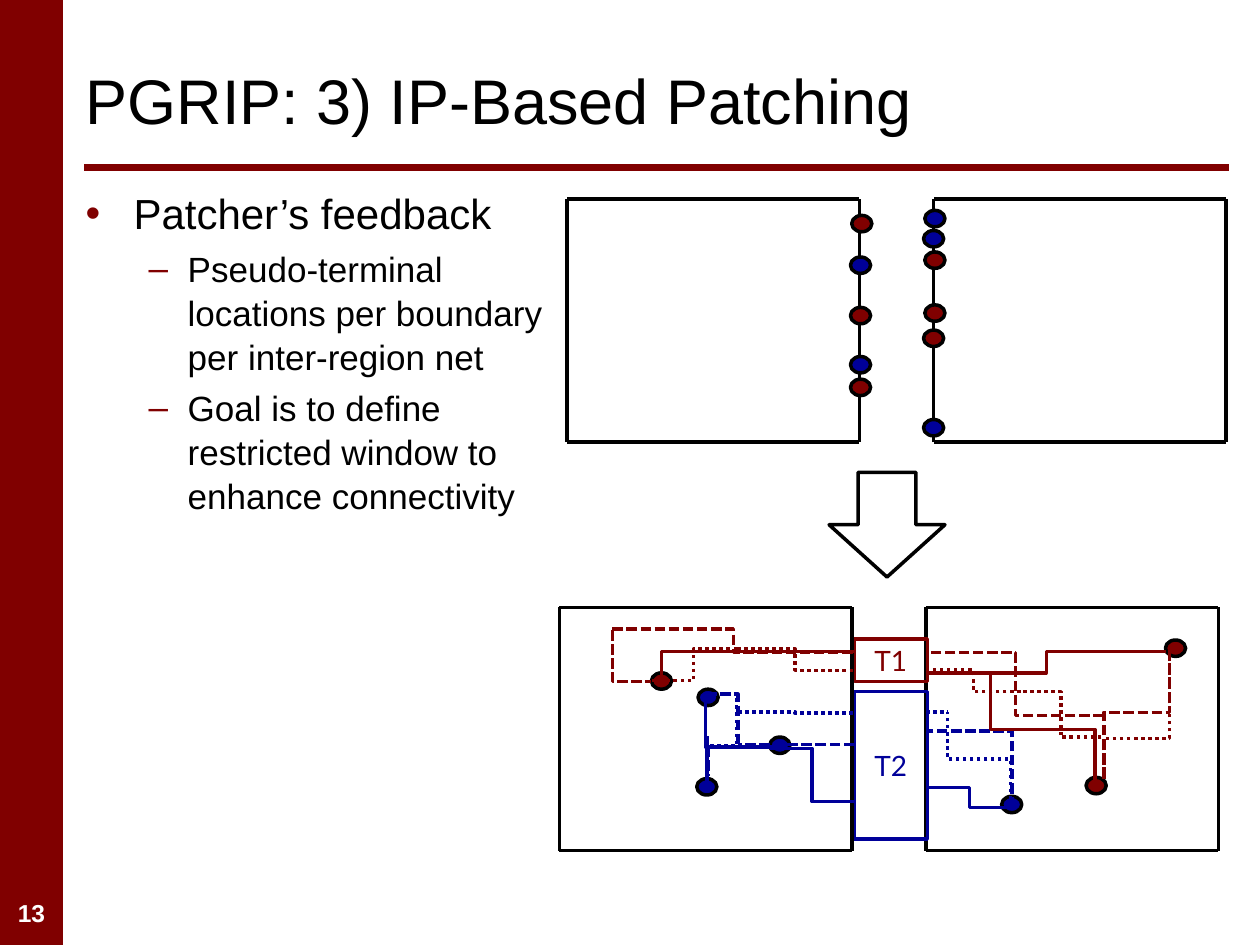
from lxml import etree
from pptx import Presentation
from pptx import util as u
from pptx.dml.color import RGBColor
from pptx.enum import dml, shapes, text
from pptx.oxml.ns import qn

RED, BLUE, BLACK, WHITE = "800000", "000099", "000000", "FFFFFF"
DASH, DOT, SOLID = dml.MSO_LINE.SQUARE_DOT, dml.MSO_LINE.ROUND_DOT, None
FEEDBACK = [
    (0, "Patcher’s feedback"),
    (1, "Pseudo-terminal locations per boundary per inter-region net"),
    (1, "Goal is to define restricted window to enhance connectivity"),
]
LOWER_PINS = {
    RED: [(5.17, 5.34), (8.62, 6.17), (9.25, 5.08)],
    BLUE: [(6.11, 5.85), (5.54, 5.47), (5.53, 6.18), (7.95, 6.32)],
}
UPPER_PINS = {
    RED: [(6.76, 1.71), (6.75, 2.44), (6.75, 3.01), (7.34, 2), (7.34, 2.42), (7.33, 2.62)],
    BLUE: [(6.75, 2.83), (6.75, 2.04), (7.33, 3.33), (7.34, 1.67), (7.33, 1.83)],
}
# Each route: start, end, first direction, bend positions.
ROUTES = {
    (RED, DASH): [
        ((8.76, 6.17), (9.28, 5.14), "v", [0.5]),
        ((8.76, 5.68), (7.36, 5.18), "h", [0.5]),
        ((4.86, 4.99), (6.78, 5.18), "h", [0.5]),
        ((4.86, 5), (5.17, 5.41), "v", []),
    ],
    (BLUE, DASH): [
        ((5.61, 5.51), (5.62, 6.16), "h", [25, 0.64]),
        ((6.78, 5.91), (5.86, 5.91), "h", [0.5]),
        ((8.03, 6.41), (7.36, 5.66), "v", [0.81]),
    ],
    (RED, SOLID): [
        ((5.25, 5.43), (6.78, 5.17), "v", []),
        ((7.36, 5.34), (9.25, 5.17), "h", [0.5]),
        ((7.86, 5.33), (8.69, 6.25), "v", [0.5]),
    ],
    (BLUE, SOLID): [
        ((6.78, 6.36), (6.11, 5.94), "h", [0.5]),
        ((6.19, 5.93), (5.6, 5.58), "h", []),
        ((5.61, 6.22), (5.61, 5.84), "v", [0.5]),
        ((8.03, 6.41), (7.36, 6.25), "h", [0.5]),
    ],
    (RED, DOT): [
        ((8.1, 5.49), (7.35, 5.32), "h", [0.5]),
        ((8.76, 6.18), (9.28, 5.15), "v", [0.31]),
        ((5.85, 5.15), (6.77, 5.32), "h", [0.5]),
        ((5.85, 5.15), (5.16, 5.4), "h", [0.5]),
        ((8.74, 5.85), (8.1, 5.49), "h", [0.5]),
    ],
    (BLUE, DOT): [
        ((5.6, 5.51), (5.61, 6.15), "h", [25, 0.64]),
        ((6.77, 5.66), (5.85, 5.65), "h", [0.5]),
        ((8.02, 6.4), (7.52, 5.65), "v", [0.5]),
        ((7.35, 5.65), (7.52, 5.65), "h", [0.5]),
    ],
}


def rgb(value):
    """Turn a hex string into a colour."""
    return RGBColor.from_string(value)


def style_runs(p, size, color, name="Arial", bold=False):
    """Format every run of a paragraph."""
    for r in p.runs:
        r.font.size, r.font.name, r.font.bold = u.Pt(size), name, bold
        r.font.color.rgb = rgb(color)


def add_line(slide, start, end, color=BLACK, width=2, kind=shapes.MSO_CONNECTOR.STRAIGHT):
    """Draw a connector without shadow."""
    cxn = slide.shapes.add_connector(kind, *map(u.Inches, (*start, *end)))
    cxn.line.color.rgb = rgb(color)
    cxn.line.width = u.Pt(width)
    etree.SubElement(cxn.element.spPr, qn("a:effectLst"))
    return cxn


def add_route(slide, start, end, first, bends, color, dash):
    """Draw a bent connector that leaves horizontally or vertically."""
    turn = 0
    if first == "v":
        dx, dy = end[0] - start[0], end[1] - start[1]
        cx, cy = (start[0] + end[0]) / 2, (start[1] + end[1]) / 2
        turn = 90 if dy > 0 else 270
        w, h = abs(dy), -dx if dy > 0 else dx
        start, end = (cx - w / 2, cy - h / 2), (cx + w / 2, cy + h / 2)
    cxn = add_line(slide, start, end, color, kind=shapes.MSO_CONNECTOR.ELBOW)
    if dash is not None:
        cxn.line.dash_style = dash
    sp_pr = cxn.element.spPr
    if turn:
        sp_pr.find(qn("a:xfrm")).set("rot", str(turn * 60000))
    geom = sp_pr.find(qn("a:prstGeom"))
    geom.set("prst", f"bentConnector{len(bends) + 2}")
    guides = geom.find(qn("a:avLst"))
    for i, bend in enumerate(bends, 1):
        etree.SubElement(guides, qn("a:gd"), name=f"adj{i}", fmla=f"val {round(bend * 100000)}")


def add_box(slide, kind, box, fill=None, line=BLACK):
    """Draw a preset shape."""
    sp = slide.shapes.add_shape(kind, *map(u.Inches, box))
    sp.shadow.inherit = False
    if fill:
        sp.fill.solid()
        sp.fill.fore_color.rgb = rgb(fill)
    else:
        sp.fill.background()
    if line:
        sp.line.color.rgb = rgb(line)
        sp.line.width = u.Pt(2)
    else:
        sp.line.fill.background()
    return sp


def add_region(slide, left, top):
    """Outline a region with separate edges."""
    right, bottom = left + 2.32, top + 1.93
    for y in (top, bottom):
        add_line(slide, (left + 1.48, y), (right, y))
        add_line(slide, (left + 1.68, y), (left, y))
    for x in (left, right):
        add_line(slide, (x, bottom), (x, top))


def add_pins(slide, pins):
    """Draw the terminals of each colour."""
    for color, places in pins.items():
        for x, y in places:
            add_box(slide, shapes.MSO_SHAPE.OVAL, (x, y, 0.16, 0.13), color)


def add_window(slide, label, top, height, color):
    """Draw a labelled routing window."""
    sp = add_box(slide, shapes.MSO_SHAPE.RECTANGLE, (6.78, top, 0.58, height), line=color)
    tf = sp.text_frame
    tf.text = label
    tf.vertical_anchor = text.MSO_ANCHOR.MIDDLE
    tf.paragraphs[0].alignment = text.PP_ALIGN.CENTER
    style_runs(tf.paragraphs[0], 16, color, "Lato")


def place(sp, left, top, width, height):
    """Move and size a shape."""
    sp.left, sp.top, sp.width, sp.height = map(u.Inches, (left, top, width, height))


def fill_title(sp, title):
    """Set the slide title."""
    place(sp, 0.58, 0.25, 9.17, 1.08)
    tf = sp.text_frame
    tf.text = title
    tf.vertical_anchor = text.MSO_ANCHOR.MIDDLE
    tf.paragraphs[0].alignment = text.PP_ALIGN.LEFT
    style_runs(tf.paragraphs[0], 36, BLACK)


def fill_body(sp, items):
    """Set the bulleted list."""
    place(sp, 0.58, 1.42, 4, 5.83)
    tf = sp.text_frame
    tf.auto_size = text.MSO_AUTO_SIZE.NONE
    for i, (level, words) in enumerate(items):
        p = tf.add_paragraph() if i else tf.paragraphs[0]
        p.text, p.level = words, level
        p.line_spacing, p.space_before = 1.05, u.Pt(4 if i else 0)
        indent, hang, mark, size = [(0.38, 0.38, "•", 24), (0.81, 0.31, "–", 20)][level]
        p_pr = p._p.get_or_add_pPr()
        p_pr.set("marL", str(u.Inches(indent)))
        p_pr.set("indent", str(-u.Inches(hang)))
        etree.SubElement(etree.SubElement(p_pr, qn("a:buClr")), qn("a:srgbClr"), val=RED)
        etree.SubElement(p_pr, qn("a:buChar"), char=mark)
        style_runs(p, size, BLACK)


def add_page_number(slide, number):
    """Write the page number on the side bar."""
    sp = slide.shapes.add_textbox(*map(u.Inches, (0, 7.08, 0.5, 0.33)))
    tf = sp.text_frame
    tf.word_wrap = True
    tf.text = number
    tf.paragraphs[0].alignment = text.PP_ALIGN.CENTER
    style_runs(tf.paragraphs[0], 14, WHITE, bold=True)


def main():
    """Build the slide."""
    prs = Presentation()
    prs.slide_width, prs.slide_height = u.Inches(10), u.Inches(7.5)
    slide = prs.slides.add_slide(prs.slide_layouts[1])
    add_box(slide, shapes.MSO_SHAPE.RECTANGLE, (0, 0, 0.5, 7.5), RED, None)
    add_line(slide, (0.67, 1.33), (9.75, 1.33), RED, 4)
    add_page_number(slide, "13")
    fill_title(slide.shapes.title, "PGRIP: 3) IP-Based Patching")
    fill_body(slide.placeholders[1], FEEDBACK)
    add_region(slide, 7.35, 4.82)
    add_window(slide, "T1", 5.07, 0.34, RED)
    add_window(slide, "T2", 5.49, 1.17, BLUE)
    add_region(slide, 4.44, 4.82)
    add_pins(slide, LOWER_PINS)
    for (color, dash), routes in ROUTES.items():
        for route in routes:
            add_route(slide, *route, color, dash)
    for left in (7.41, 4.5):
        add_region(slide, left, 1.58)
    add_pins(slide, UPPER_PINS)
    add_box(slide, shapes.MSO_SHAPE.DOWN_ARROW, (6.58, 3.75, 0.92, 0.83), WHITE)
    prs.save("out.pptx")


if __name__ == "__main__":
    main()
